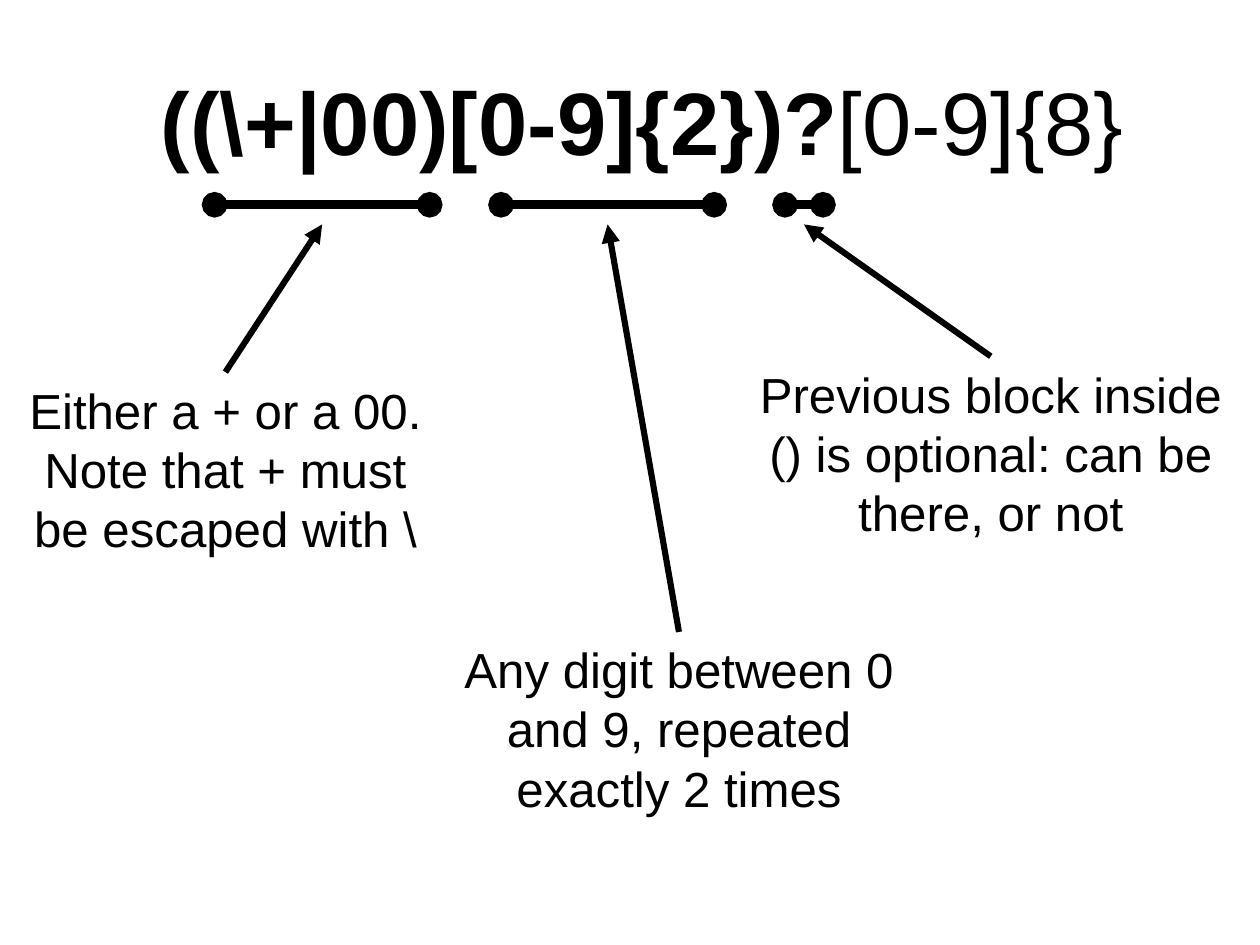
import pptx
import pptx.util
import pptx.dml.color
import pptx.enum.shapes
import pptx.enum.text
import pptx.oxml.ns
import lxml.etree

COLORS = {"ink": "000000", "paper": "FFFFFF"}
COLS, ROWS = 128, 96
CELL = pptx.util.Pt(8)
BAR_ROW, TIP_ROW = 20.8, 22.8
NOTE_HEIGHT = 19.2
TITLE_BOX = (10.6, 3.25, 109.3, 17.55)
PATTERN = [(r"((\+|00)[0-9]{2})?", True), ("[0-9]{8}", False)]
CALLOUTS = [
    ((21.8, 43.65), (2.15, 37.8, 41.5),
     "Either a + or a 00. Note that + must be escaped with \\"),
    ((50.9, 72.55), (44.8, 64.2, 48.35),
     "Any digit between 0 and 9, repeated exactly 2 times"),
    ((79.75, 83.6), (75, 36.2, 51.3),
     "Previous block inside () is optional: can be there, or not"),
]
FRAME = {
    "word_wrap": True,
    "auto_size": pptx.enum.text.MSO_AUTO_SIZE.NONE,
    "vertical_anchor": pptx.enum.text.MSO_ANCHOR.MIDDLE,
    "margin_left": pptx.util.Inches(0.06),
    "margin_right": pptx.util.Inches(0.06),
    "margin_top": pptx.util.Inches(0.1),
    "margin_bottom": pptx.util.Inches(0.06),
}


def grid(n):
    """Return the length of n grid cells."""
    return pptx.util.Emu(round(n * CELL))


def rgb(name):
    """Return the named colour."""
    return pptx.dml.color.RGBColor.from_string(COLORS[name])


def apply(target, values):
    """Set each named attribute of the target."""
    for name, value in values.items():
        setattr(target, name, value)


def write(sp, runs, size):
    """Fill a shape with one centred paragraph of (text, bold) runs."""
    tf = sp.text_frame
    apply(tf, FRAME)
    p = tf.paragraphs[0]
    apply(p, {"alignment": pptx.enum.text.PP_ALIGN.CENTER,
              "space_before": pptx.util.Pt(0),
              "line_spacing": pptx.util.Pt(size * 1.2)})
    for text, bold in runs:
        r = p.add_run()
        r.text = text
        apply(r.font, {"name": "Arial", "size": pptx.util.Pt(size), "bold": bold})
        r.font.color.rgb = rgb("ink")


def add_line(s, start, end, width, **ends):
    """Draw a straight line between two grid points with the given line ends."""
    sp = s.shapes.add_connector(pptx.enum.shapes.MSO_CONNECTOR.STRAIGHT,
                                *map(grid, start + end))
    sp.line.width = pptx.util.Pt(width)
    sp.line.color.rgb = rgb("ink")
    ln = sp.line._get_or_add_ln()
    for tag, kind in ends.items():
        lxml.etree.SubElement(ln, pptx.oxml.ns.qn("a:" + tag), type=kind)
    lxml.etree.SubElement(sp._element.spPr, pptx.oxml.ns.qn("a:effectLst"))


def add_pattern(s, box):
    """Place the regular expression in the title placeholder."""
    title = s.shapes.title
    apply(title, dict(zip(("left", "top", "width", "height"), map(grid, box))))
    write(title, PATTERN, 72)


def add_callout(s, bar, box, text):
    """Mark a span of the pattern and point to it from a note in the box."""
    left, right = bar
    x, y, width = box
    add_line(s, (left, BAR_ROW), (right, BAR_ROW), 7, headEnd="oval", tailEnd="oval")
    add_line(s, ((left + right) / 2, TIP_ROW), (x + width / 2, y), 5, headEnd="triangle")
    note = s.shapes.add_textbox(*map(grid, (x, y, width, NOTE_HEIGHT)))
    write(note, [(text, False)], 40)


def main():
    """Build and save the slide."""
    prs = pptx.Presentation()
    apply(prs, {"slide_width": grid(COLS), "slide_height": grid(ROWS)})
    s = prs.slides.add_slide(prs.slide_layouts.get_by_name("Title Only"))
    s.background.fill.solid()
    s.background.fill.fore_color.rgb = rgb("paper")
    add_pattern(s, TITLE_BOX)
    for bar, box, text in CALLOUTS:
        add_callout(s, bar, box, text)
    prs.save("out.pptx")


if __name__ == "__main__":
    main()
